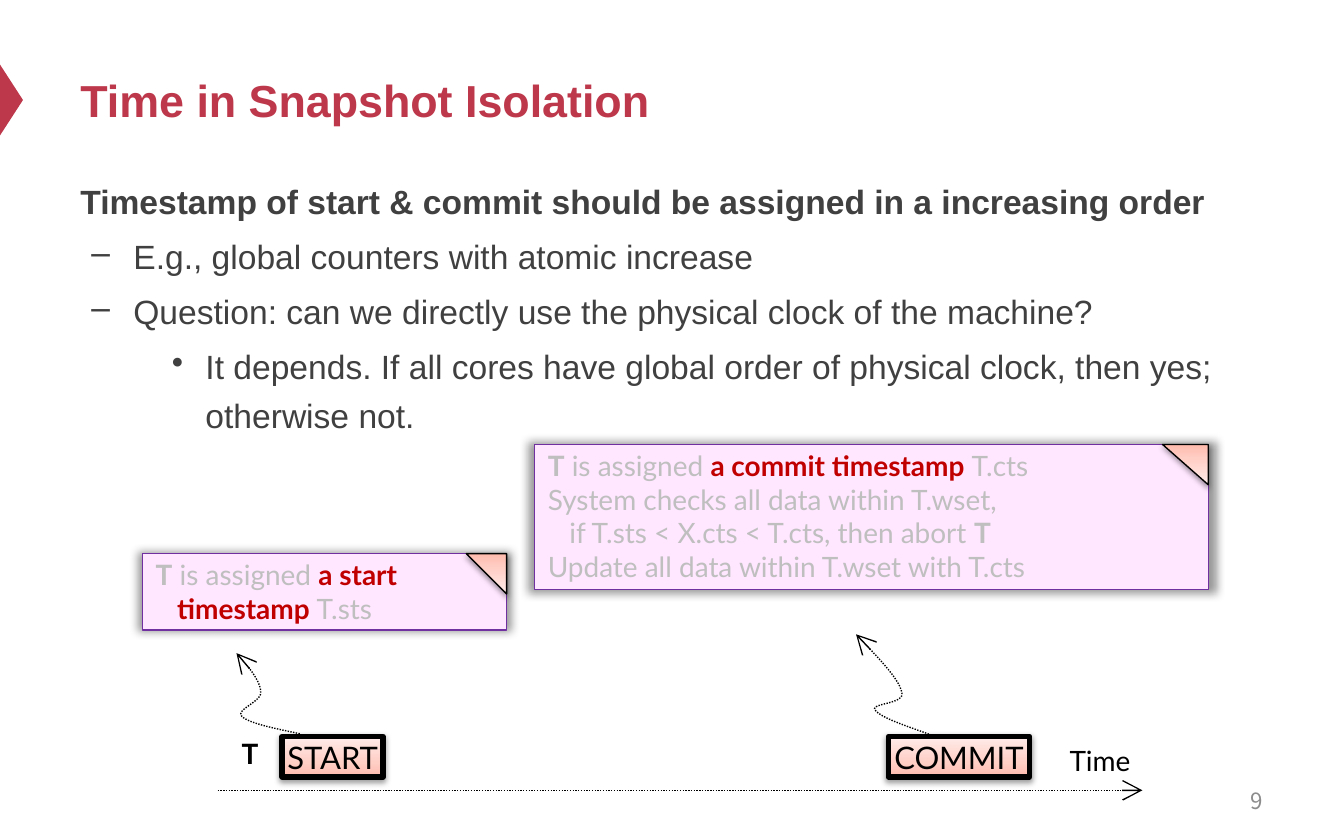
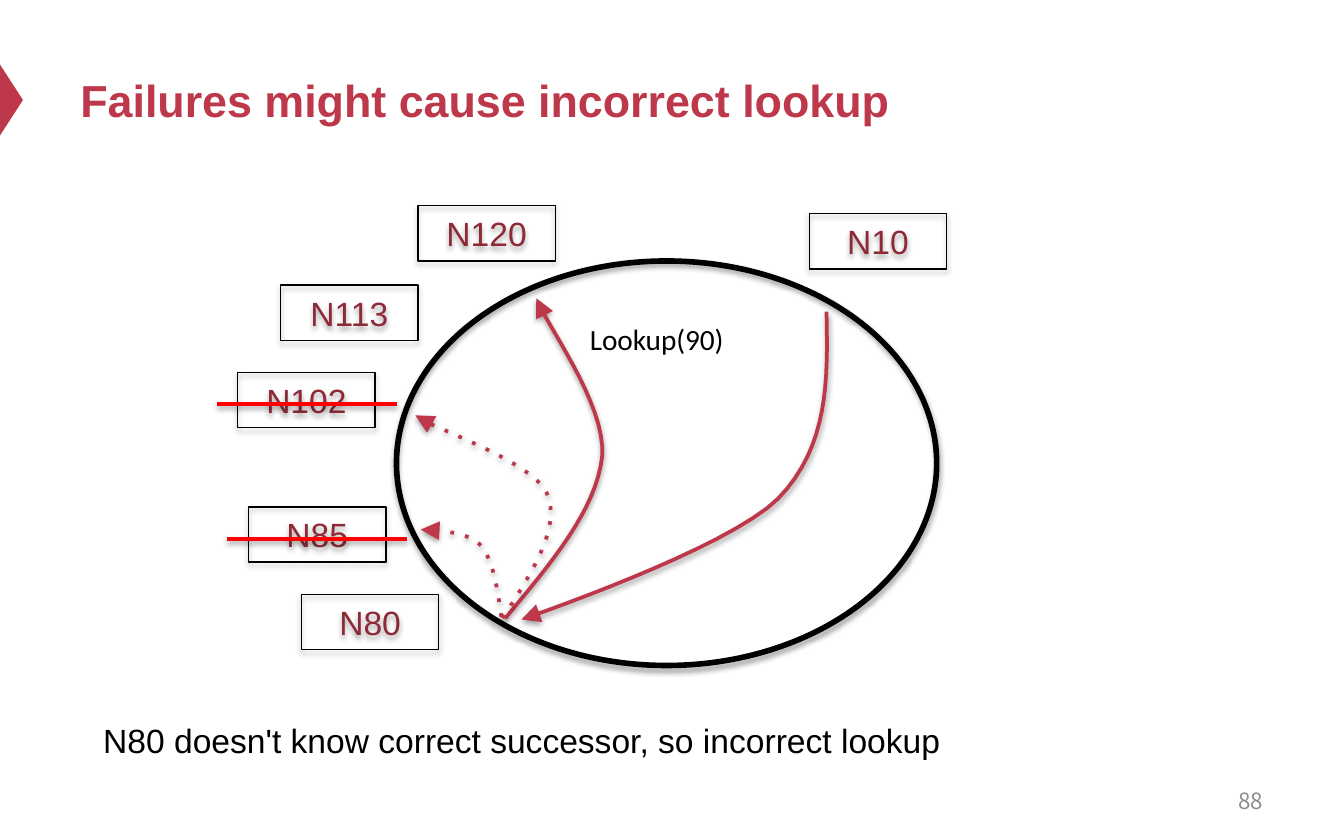
import copy
import pptx
import pptx.dml.color
import pptx.enum.shapes
import pptx.enum.text
import pptx.oxml
import pptx.oxml.ns
import pptx.util

Pt = pptx.util.Pt
SHAPE = pptx.enum.shapes.MSO_SHAPE
ALIGN = pptx.enum.text.PP_ALIGN
MID = pptx.enum.text.MSO_ANCHOR.MIDDLE
qn = pptx.oxml.ns.qn

RED, INK, BLACK = "BE384B", "404040", "000000"
PEACH = [(0, "FFBBAE"), (0.35, "FFCEC5"), (1, "FFECE9")]
DROP = (38, 3.1, 1.6, 90, 100)
SOFT = (35, 3.1, 1.8, 90, 100)
GLOW = (40, 5, 0, 0, 102)

HEAD = {"name": "Arial", "size": Pt(24), "bold": True, "color": RED}
BODY = {"name": "Arial", "size": Pt(18), "color": INK}
BOLD = {**BODY, "bold": True}
PAGE = {"name": "Noto Sans CJK SC", "size": Pt(12), "color": "8C8C8C"}
NODE = {**BODY, "color": "8E2A38"}
FOOT = {**BODY, "color": BLACK}
CALL = {"name": "Calibri", "size": Pt(27), "color": BLACK}
TIME = {"name": "Lato", "size": Pt(15), "color": BLACK}
STEP = {**TIME, "size": Pt(16.6)}
PALE = {**TIME, "color": "BFBFBF"}
PBOLD = {**PALE, "bold": True}
KEY = {**TIME, "color": "C00000", "bold": True}

POINTS = [
    ("Timestamp of start & commit should be assigned in a increasing order", BOLD, 0, 0, ""),
    ("E.g., global counters with atomic increase", BODY, 28.4, -22.5, "–"),
    ("Question: can we directly use the physical clock of the machine?", BODY, 28.4, -22.5, "–"),
    ("It depends. If all cores have global order of physical clock, then yes; otherwise not.",
     BODY, 67, -18, "•"),
]

NOTES = [
    ((76.3, 296.6, 195.1, 41), 21.6, [
        [("T", PBOLD), (" is assigned ", PALE), ("a start timestamp ", KEY), ("T.sts", PALE)],
    ]),
    ((286.4, 238.1, 360.9, 77.8), 24.5, [
        [("T", PBOLD), (" is assigned ", PALE), ("a commit timestamp ", KEY), ("T.cts", PALE)],
        [("System checks all data within T.wset, \nif T.sts < X.cts < T.cts, then abort ", PALE),
         ("T", PBOLD)],
        [("Update all data within T.wset with T.cts", PALE)],
    ]),
]
STEPS = [("START", 151.2, 54), ("COMMIT", 475.9, 75.6)]
WAVES = [
    [(160.6, 393.1), (146.9, 390.2), (133.2, 387.4), (129.6, 383.8), (126, 380.2),
     (140.4, 375.8), (139.7, 370.8), (139.7, 365), (133.2, 357.1), (126.7, 349.9)],
    [(499, 393.8), (485.3, 388.8), (471.6, 384.5), (468.7, 380.2), (466.6, 376.6),
     (485.3, 377.3), (483.1, 370.8), (481.7, 363.6), (470.2, 352.1), (458.6, 339.8)],
]

NODES = [("N80", 161.5, 318.5), ("N85", 133.2, 271.6), ("N102", 127.4, 199.5),
         ("N113", 150.4, 152.8), ("N120", 223.9, 110.2), ("N10", 433.6, 114.5)]
HOPS = [
    ("dot", [(268.6, 330.5), (266.4, 314.6), (264.2, 299.5), (257, 291.6),
             (249.8, 283.7), (225.4, 283.7), (225.4, 283.7)]),
    (None, [(270.7, 331.2), (295.2, 301.7), (319.7, 272.9), (322.6, 244.1),
            (324.7, 216), (290.9, 171.4), (287.3, 159.8)]),
    ("dot", [(269.3, 331.2), (285.1, 306.7), (301, 282.2), (293, 264.2),
             (285.1, 246.2), (224.6, 226.8), (222.5, 222.5)]),
    (None, [(442.8, 167), (443.5, 203), (444.2, 239), (416.9, 267.1),
            (389.5, 294.5), (279.4, 331.9), (279.4, 331.9)]),
]
CUTS = [(116.2, 216.5), (121.7, 288.7)]


def rgb(code):
    return pptx.dml.color.RGBColor.from_string(code)


def put(thing, vals):
    for key, val in vals.items():
        if key == "color":
            thing.color.rgb = rgb(val)
        else:
            setattr(thing, key, val)


def tag(base, name, **vals):
    node = pptx.oxml.parse_xml(f'<a:{name} {pptx.oxml.ns.nsdecls("a")}/>')
    for key, val in vals.items():
        node.set(key, str(val))
    base.append(node)
    return node


def shade(shape, drop=None):
    prop = shape._element.spPr
    for old in prop.findall(qn("a:effectLst")):
        prop.remove(old)
    group = tag(prop, "effectLst")
    if drop:
        alpha, blur, dist, angle, scale = drop
        cast = tag(group, "outerShdw", blurRad=Pt(blur), dist=Pt(dist), dir=angle * 60000,
                   sx=scale * 1000, sy=scale * 1000, algn="ctr", rotWithShape=0)
        tag(tag(cast, "srgbClr", val=BLACK), "alpha", val=alpha * 1000)


def stroke(shape, color, width, dash=None, tail=None):
    put(shape.line, {"color": color, "width": Pt(width)})
    edge = shape._element.spPr.find(qn("a:ln"))
    if dash:
        tag(edge, "prstDash", val=dash)
    if tail:
        tag(edge, "tailEnd", type=tail, w="lg", len="lg")


def paint(shape, fill):
    if not fill:
        shape.fill.background()
    elif isinstance(fill, str):
        shape.fill.solid()
        shape.fill.fore_color.rgb = rgb(fill)
    else:
        shape.fill.gradient()
        shape.fill.gradient_angle = 90
        stops = shape._element.spPr.find(".//" + qn("a:gsLst"))
        stops.append(copy.deepcopy(stops[0]))
        for stop, (place, code) in zip(shape.fill.gradient_stops, fill):
            put(stop, {"position": place, "color": code})


def form(slide, kind, area, fill=None, line=None, drop=None, turn=0):
    shape = slide.shapes.add_shape(kind, *map(Pt, area))
    shape.rotation = turn
    paint(shape, fill)
    if line:
        stroke(shape, line, 0.75)
    else:
        shape.line.fill.background()
    shade(shape, drop)
    return shape


def write(para, runs):
    for text, font in runs:
        for num, part in enumerate(text.split("\n")):
            if num:
                para.add_line_break()
            run = para.add_run()
            run.text = part
            put(run.font, font)


def fill_in(shape, paras, frame=None, look=None):
    body = shape.text_frame
    put(body, {"word_wrap": True, **(frame or {})})
    for num, runs in enumerate(paras):
        para = body.add_paragraph() if num else body.paragraphs[0]
        put(para, {"alignment": ALIGN.LEFT, **(look or {})})
        write(para, runs)
    return body


def label(slide, area, text, font, frame=None, look=None):
    box = slide.shapes.add_textbox(*map(Pt, area))
    return fill_in(box, [[(text, font)]], frame, look)


def indent(para, left, first):
    prop = para._p.get_or_add_pPr()
    prop.set("marL", str(Pt(left)))
    prop.set("indent", str(Pt(first)))
    return prop


def link(slide, start, end, *style, drop=None):
    kind = pptx.enum.shapes.MSO_CONNECTOR.STRAIGHT
    line = slide.shapes.add_connector(kind, *map(Pt, start + end))
    stroke(line, *style)
    shade(line, drop)


def curve(slide, knots, *style, drop=None, steps=16):
    dots = [knots[0]]
    for base in range(0, len(knots) - 1, 3):
        quad = knots[base:base + 4]
        for step in range(1, steps + 1):
            t = step / steps
            mix = ((1 - t) ** 3, 3 * t * (1 - t) ** 2, 3 * t * t * (1 - t), t ** 3)
            dots.append(tuple(sum(m * q[axis] for m, q in zip(mix, quad)) for axis in (0, 1)))
    dots = [(Pt(x), Pt(y)) for x, y in dots]
    build = slide.shapes.build_freeform(*dots[0])
    build.add_line_segments(dots[1:], close=False)
    shape = build.convert_to_shape()
    paint(shape, None)
    stroke(shape, *style)
    shade(shape, drop)


def start(deck, title, page):
    slide = deck.slides.add_slide(deck.slide_layouts[6])
    form(slide, SHAPE.ISOSCELES_TRIANGLE, (-13, 47.4, 38.2, 12.4), RED, turn=90)
    label(slide, (36, 18, 648, 70.6), title, HEAD, {"vertical_anchor": MID})
    label(slide, (516, 416.9, 167.8, 23.8), page, PAGE,
          {"vertical_anchor": MID}, {"alignment": ALIGN.RIGHT})
    return slide


def draw_time(deck):
    slide = start(deck, "Time in Snapshot Isolation", "9")
    body = slide.shapes.add_textbox(*map(Pt, (36, 89.1, 648, 296.6))).text_frame
    body.word_wrap = True
    for num, (text, font, left, first, mark) in enumerate(POINTS):
        para = body.add_paragraph() if num else body.paragraphs[0]
        prop = indent(para, left, first)
        if mark:
            tag(prop, "buChar", char=mark)
        put(para, {"line_spacing": 1.2, "space_before": Pt(3.6 if num else 0)})
        write(para, [(text, font)])

    link(slide, (116.6, 423.4), (612, 423.4), BLACK, 0.75, "sysDot", "arrow")
    label(slide, (565.9, 394.6, 60, 25.2), "Time", TIME)
    label(slide, (122.4, 391, 23.8, 25.2), "T", {**TIME, "bold": True})
    slim = {"margin_top": Pt(2.2), "margin_bottom": Pt(2.2)}
    for text, left, wide in STEPS:
        box = form(slide, SHAPE.RECTANGLE, (left, 394.6, wide, 21.6), PEACH, BLACK, DROP)
        box.line.width = Pt(3)
        fill_in(box, [[(text, STEP)]], {**slim, "vertical_anchor": MID, "word_wrap": False},
                {"alignment": ALIGN.CENTER})
    for area, fold, paras in NOTES:
        left, top, wide, _ = area
        note = form(slide, SHAPE.RECTANGLE, area, "FFE7FF", "7030A0", GLOW)
        text = fill_in(note, paras, {**slim, "vertical_anchor": pptx.enum.text.MSO_ANCHOR.TOP})
        for para in text.paragraphs:
            indent(para, 11.5, -11.5)
        form(slide, SHAPE.RIGHT_TRIANGLE, (left + wide - fold, top, fold, 21.6),
             PEACH, BLACK, DROP, 180)
    for knots in WAVES:
        curve(slide, knots, BLACK, 0.75, "sysDot", "arrow")


def draw_ring(deck):
    slide = start(deck, "Failures might cause incorrect lookup", "88")
    ring = form(slide, SHAPE.OVAL, (212.4, 139.8, 289.4, 216.7), None, BLACK, SOFT)
    ring.line.width = Pt(3)
    for text, left, top in NODES:
        box = form(slide, SHAPE.RECTANGLE, (left, top, 73.6, 29.6), None, BLACK, SOFT)
        fill_in(box, [[(text, NODE)]], {"vertical_anchor": MID}, {"alignment": ALIGN.CENTER})
    for dash, knots in HOPS:
        curve(slide, knots, RED, 2, dash, "triangle", drop=DROP)
    label(slide, (48.2, 382.3, 480, 28.8),
          "N80 doesn't know correct successor, so incorrect lookup", FOOT)
    call = label(slide, (308.9, 165.6, 110, 40.3), "Lookup(90)", CALL)
    call.paragraphs[0].runs[0]._r.get_or_add_rPr().set("baseline", "30000")
    for left, top in CUTS:
        link(slide, (left, top), (left + 96.5, top), "FF0000", 2, drop=DROP)


def main():
    deck = pptx.Presentation()
    put(deck, {"slide_width": Pt(720), "slide_height": Pt(450)})
    draw_time(deck)
    draw_ring(deck)
    deck.save("out.pptx")


if __name__ == "__main__":
    main()
